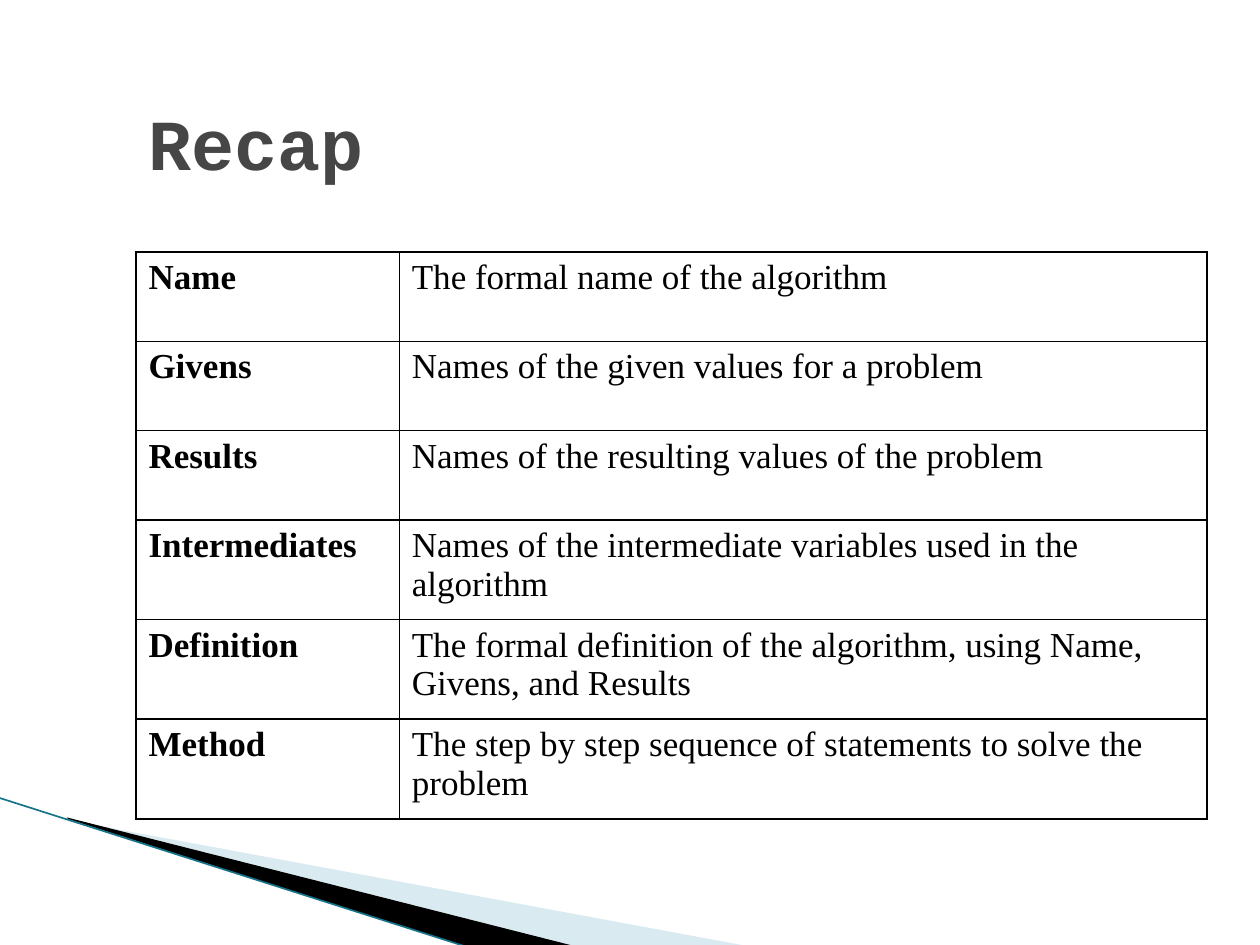
from dataclasses import dataclass

from lxml import etree
from pptx import Presentation
from pptx import util as u
from pptx.dml.color import RGBColor
from pptx.enum import shapes, text
from pptx.oxml import ns

COLORS = {
    "title": "464646",
    "ink": "000000",
    "pale": "A0CBDC",
    "edge": "16748A",
}


@dataclass
class Wedge:
    points: list[tuple[float, float]]  # centimetres
    color: str
    opacity: int = 100


@dataclass
class Term:
    name: str
    meaning: str
    height: float  # centimetres


WEDGES = [
    Wedge([(1.4, 16.54), (15.11, 19.08), (11.58, 19.08), (1.4, 16.51)], "pale", 40),
    Wedge([(1.35, 16.48), (11.61, 19.08), (9.45, 19.1), (1.37, 16.51)], "ink"),
]
SHORT, TALL = 1.8, 2.01
TERMS = [
    Term("Name", "The formal name of the algorithm", SHORT),
    Term("Givens", "Names of the given values for a problem", SHORT),
    Term("Results", "Names of the resulting values of the problem", SHORT),
    Term("Intermediates", "Names of the intermediate variables used in the algorithm", TALL),
    Term("Definition", "The formal definition of the algorithm, using Name, Givens, and Results", TALL),
    Term("Method", "The step by step sequence of statements to solve the problem", TALL),
]
LEFT, COLUMNS = 2.74, (5.31, 16.28)


def rgb(key: str) -> RGBColor:
    return RGBColor.from_string(COLORS[key])


def write(frame, words: str, color: str, **font_values) -> None:
    paragraph = frame.paragraphs[0]
    paragraph.alignment = text.PP_ALIGN.LEFT
    run = paragraph.add_run()
    run.text = words
    for attribute, value in font_values.items():
        setattr(run.font, attribute, value)
    run.font.color.rgb = rgb(color)


def draw_wedge(slide, wedge: Wedge) -> None:
    start, *rest = [(u.Cm(x), u.Cm(y)) for x, y in wedge.points]
    builder = slide.shapes.build_freeform(*start)
    builder.add_line_segments(rest, close=True)
    shape = builder.convert_to_shape()
    shape.shadow.inherit = False
    shape.line.fill.background()
    shape.fill.solid()
    shape.fill.fore_color.rgb = rgb(wedge.color)
    if wedge.opacity < 100:
        tint = shape.fill._xPr.find(".//" + ns.qn("a:srgbClr"))
        etree.SubElement(tint, ns.qn("a:alpha"), val=str(wedge.opacity * 1000))


def draw_edge(slide) -> None:
    edge = slide.shapes.add_connector(
        shapes.MSO_CONNECTOR.STRAIGHT, u.Cm(-0.03), u.Cm(16.08), u.Cm(9.45), u.Cm(19.1))
    edge.line.color.rgb = rgb("edge")
    edge.line.width = u.Pt(0.95)
    etree.SubElement(edge._element.spPr, ns.qn("a:effectLst"))


def border(cell) -> None:
    properties = cell._tc.get_or_add_tcPr()
    for position, side in enumerate(("lnL", "lnR", "lnT", "lnB")):
        line = etree.Element(ns.qn(f"a:{side}"), w=str(u.Pt(1)))
        fill = etree.SubElement(line, ns.qn("a:solidFill"))
        etree.SubElement(fill, ns.qn("a:srgbClr"), val=COLORS["ink"])
        properties.insert(position, line)


def draw_terms(slide, terms: list[Term]) -> None:
    table = slide.shapes.add_table(
        len(terms), len(COLUMNS), u.Cm(LEFT), u.Cm(5.08), u.Cm(sum(COLUMNS)),
        u.Cm(sum(term.height for term in terms))).table
    table.first_row = table.horz_banding = False
    for column, width in zip(table.columns, COLUMNS):
        column.width = u.Cm(width)
    for row, term in zip(table.rows, terms):
        row.height = u.Cm(term.height)
        for cell, words, bold in zip(row.cells, (term.name, term.meaning), (True, False)):
            cell.fill.background()
            border(cell)
            write(cell.text_frame, words, "ink",
                  name="Times New Roman", size=u.Pt(20), bold=bold)


def main() -> None:
    deck = Presentation()
    deck.slide_width, deck.slide_height = u.Cm(25.4), u.Cm(19.05)
    slide = deck.slides.add_slide(deck.slide_layouts[5])

    # Title
    title = slide.shapes.title
    place = {"left": LEFT, "top": 1.27, "width": sum(COLUMNS), "height": 3.18}
    for attribute, length in place.items():
        setattr(title, attribute, u.Cm(length))
    title.text_frame.vertical_anchor = text.MSO_ANCHOR.MIDDLE
    write(title.text_frame, "Recap", "title",
          name="Courier New", size=u.Pt(41), bold=True)

    # Corner decoration
    for wedge in WEDGES:
        draw_wedge(slide, wedge)
    draw_edge(slide)

    # Parts of an algorithm
    draw_terms(slide, TERMS)
    deck.save("out.pptx")


if __name__ == "__main__":
    main()
